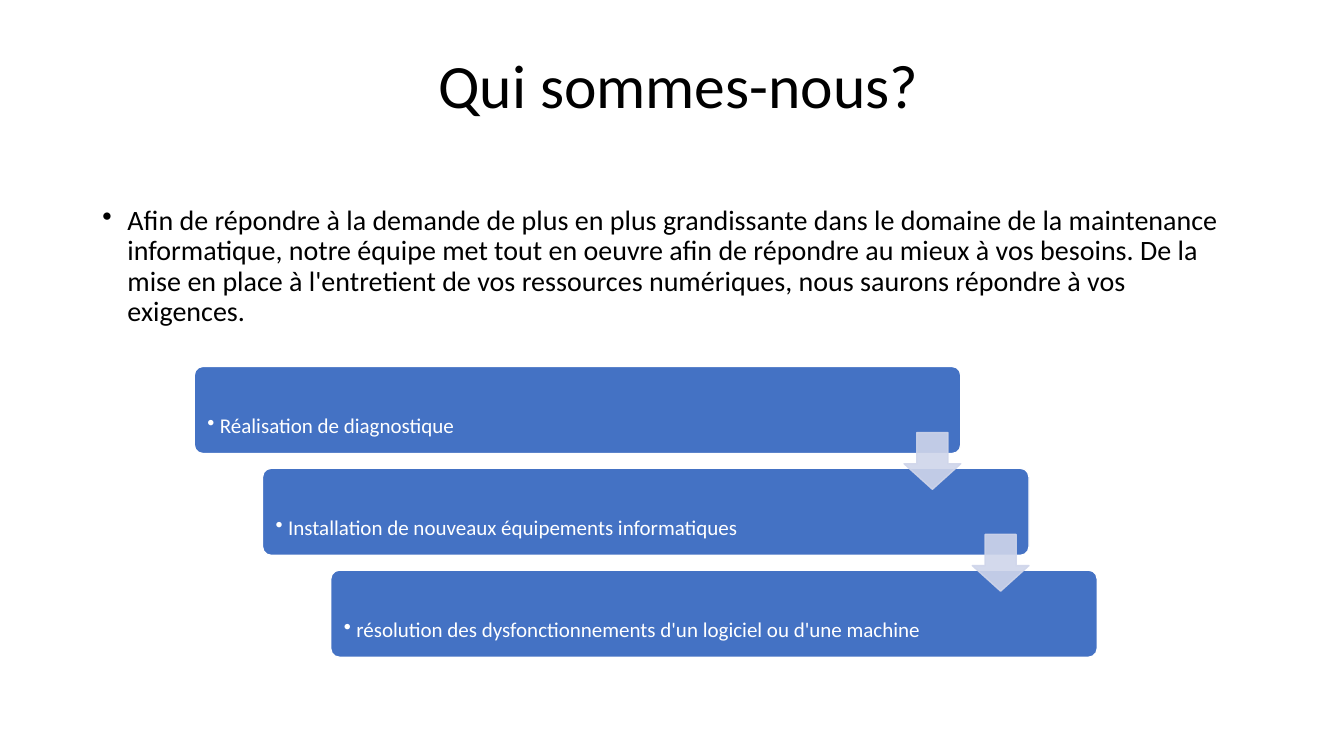
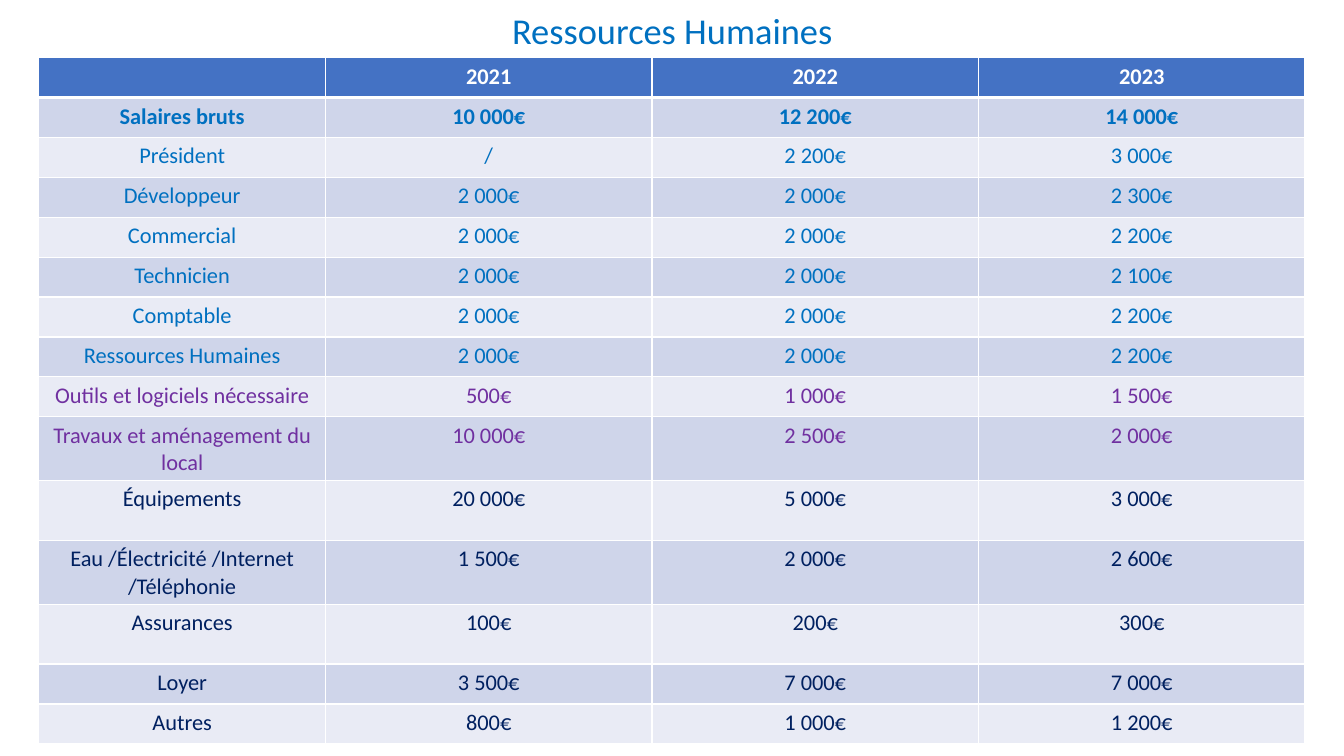
from lxml import etree
from pptx import Presentation
from pptx.dml.color import RGBColor
from pptx.enum.shapes import MSO_SHAPE
from pptx.enum.text import MSO_ANCHOR, PP_ALIGN
from pptx.oxml.ns import qn
from pptx.util import Emu, Pt

# Shared look
FONT = "Calibri"
BLACK, WHITE = "000000", "FFFFFF"
BLUE, PALE, PALER = "4472C4", "CFD5EA", "E9EBF5"
SALARY, TOOLS, COSTS = "0070C0", "7030A0", "002060"

INTRO = (
    "Afin de répondre à la demande de plus en plus grandissante dans le domaine "
    "de la maintenance informatique, notre équipe met tout en oeuvre afin de "
    "répondre au mieux à vos besoins. De la mise en place à l'entretient de vos "
    "ressources numériques, nous saurons répondre à vos exigences."
)
SERVICES = [
    "Réalisation de diagnostique",
    "Installation de nouveaux équipements informatiques",
    "résolution des dysfonctionnements d'un logiciel ou d'une machine",
]

# Budget rows: text colour, row height, cell texts
YEARS = ["", "2021", "2022", "2023"]
BUDGET = [
    (SALARY, 38, ["Salaires bruts", "10 000€", "12 200€", "14 000€"]),
    (SALARY, 38, ["Président", "/", "2 200€", "3 000€"]),
    (SALARY, 38, ["Développeur", "2 000€", "2 000€", "2 300€"]),
    (SALARY, 38, ["Commercial", "2 000€", "2 000€", "2 200€"]),
    (SALARY, 38, ["Technicien", "2 000€", "2 000€", "2 100€"]),
    (SALARY, 38, ["Comptable", "2 000€", "2 000€", "2 200€"]),
    (SALARY, 38, ["Ressources Humaines", "2 000€", "2 000€", "2 200€"]),
    (TOOLS, 38, ["Outils et logiciels nécessaire", "500€", "1 000€", "1 500€"]),
    (TOOLS, 58, ["Travaux et aménagement du local", "10 000€", "2 500€", "2 000€"]),
    (COSTS, 57, ["Équipements", "20 000€", "5 000€", "3 000€"]),
    (COSTS, 58, ["Eau /Électricité /Internet /Téléphonie", "1 500€", "2 000€", "2 600€"]),
    (COSTS, 57, ["Assurances", "100€", "200€", "300€"]),
    (COSTS, 38, ["Loyer", "3 500€", "7 000€", "7 000€"]),
    (COSTS, 38, ["Autres", "800€", "1 000€", "1 200€"]),
]


def px(length):
    return Emu(length * 9525)


def color(code):
    return RGBColor.from_string(code)


def add_span(para, text, size, code, bold=False):
    span = para.add_run()
    span.text = text
    span.font.name = FONT
    span.font.size = Pt(size)
    span.font.bold = bold
    span.font.color.rgb = color(code)


def add_bullet(para, indent):
    properties = para._p.get_or_add_pPr()
    properties.set("marL", str(px(indent)))
    properties.set("indent", str(-px(indent)))
    etree.SubElement(properties, qn("a:buChar"), char="•")


def add_text(page, area, text, size, code=BLACK, anchor=MSO_ANCHOR.TOP,
             align=PP_ALIGN.LEFT, bullet=0):
    box = page.shapes.add_textbox(*map(px, area))
    frame = box.text_frame
    frame.word_wrap = True
    frame.vertical_anchor = anchor
    para = frame.paragraphs[0]
    para.alignment = align
    para.line_spacing = 0.9
    if bullet:
        add_bullet(para, bullet)
    add_span(para, text, size, code)


def add_title(page, area, text, size, code=BLACK, align=PP_ALIGN.LEFT):
    add_text(page, area, text, size, code, MSO_ANCHOR.MIDDLE, align)


def add_preset(page, kind, area, fill, line, adjustments):
    shape = page.shapes.add_shape(kind, *map(px, area))
    shape.shadow.inherit = False
    shape.fill.solid()
    shape.fill.fore_color.rgb = color(fill)
    shape.line.color.rgb = color(line)
    shape.line.width = Pt(1)
    for index, value in enumerate(adjustments):
        shape.adjustments[index] = value
    return shape


def add_step(page, left, top, text):
    step = add_preset(page, MSO_SHAPE.ROUNDED_RECTANGLE, (left, top, 730, 83),
                      BLUE, WHITE, [0.1])
    frame = step.text_frame
    frame.word_wrap = True
    frame.vertical_anchor = MSO_ANCHOR.BOTTOM
    frame.margin_left = px(10)
    frame.margin_bottom = px(12)
    para = frame.paragraphs[0]
    para.alignment = PP_ALIGN.LEFT
    para.line_spacing = 0.9
    add_bullet(para, 12)
    add_span(para, text, 15, WHITE)


def add_arrow(page, left, top):
    arrow = add_preset(page, MSO_SHAPE.DOWN_ARROW, (left, top, 54, 54),
                       PALE, PALE, [0.55, 0.45])
    # Fill and line are slightly transparent
    for tint in arrow._element.spPr.iter(qn("a:srgbClr")):
        etree.SubElement(tint, qn("a:alpha"), val="90000")


def add_borders(cell, top, bottom):
    properties = cell._tc.get_or_add_tcPr()
    for side, width in (("L", 1), ("R", 1), ("T", top), ("B", bottom)):
        line = etree.SubElement(properties, qn("a:ln" + side), w=str(Pt(width)))
        fill = etree.SubElement(line, qn("a:solidFill"))
        etree.SubElement(fill, qn("a:srgbClr"), val=WHITE)


def fill_cell(cell, text, code, fill, bold, top, bottom):
    add_borders(cell, top, bottom)
    cell.fill.solid()
    cell.fill.fore_color.rgb = color(fill)
    para = cell.text_frame.paragraphs[0]
    para.alignment = PP_ALIGN.CENTER
    if text:
        add_span(para, text, 16, code, bold)
    else:
        para._p.get_or_add_endParaRPr().set("sz", "1600")


def add_budget(page, left, top, widths):
    rows = [(WHITE, 38, YEARS)] + BUDGET
    total = sum(height for _, height, _ in rows)
    frame = page.shapes.add_table(len(rows), len(widths), px(left), px(top),
                                  px(sum(widths)), px(total))
    table = frame.table
    for column, width in zip(table.columns, widths):
        column.width = px(width)
    for index, (code, height, texts) in enumerate(rows):
        table.rows[index].height = px(height)
        fill = BLUE if index == 0 else (PALER, PALE)[index % 2]
        # A thick rule parts the header from the body
        top_rule = 3 if index == 1 else 1
        bottom_rule = 3 if index == 0 else 1
        for cell, text in zip(table.rows[index].cells, texts):
            fill_cell(cell, text, code, fill, index < 2, top_rule, bottom_rule)


def build_about(page):
    add_title(page, (408, 24, 864, 121), "Qui sommes-nous?", 44)
    add_text(page, (88, 192, 1104, 130), INTRO, 20, bullet=24)
    # Staircase of services, with an arrow from each to the next
    corners = [(185 + 65 * i, 349 + 97 * i) for i in range(len(SERVICES))]
    for (left, top), service in zip(corners, SERVICES):
        add_step(page, left, top, service)
    for left, top in corners[:-1]:
        add_arrow(page, left + 676, top + 63)


def build_budget(page):
    add_title(page, (441, 6, 399, 50), "Ressources Humaines", 26, SALARY,
              PP_ALIGN.CENTER)
    add_budget(page, 37, 55, [273, 311, 311, 311])


def main():
    deck = Presentation()
    deck.slide_width, deck.slide_height = px(1280), px(720)
    for build in (build_about, build_budget):
        build(deck.slides.add_slide(deck.slide_layouts[6]))
    deck.save("out.pptx")


if __name__ == "__main__":
    main()
